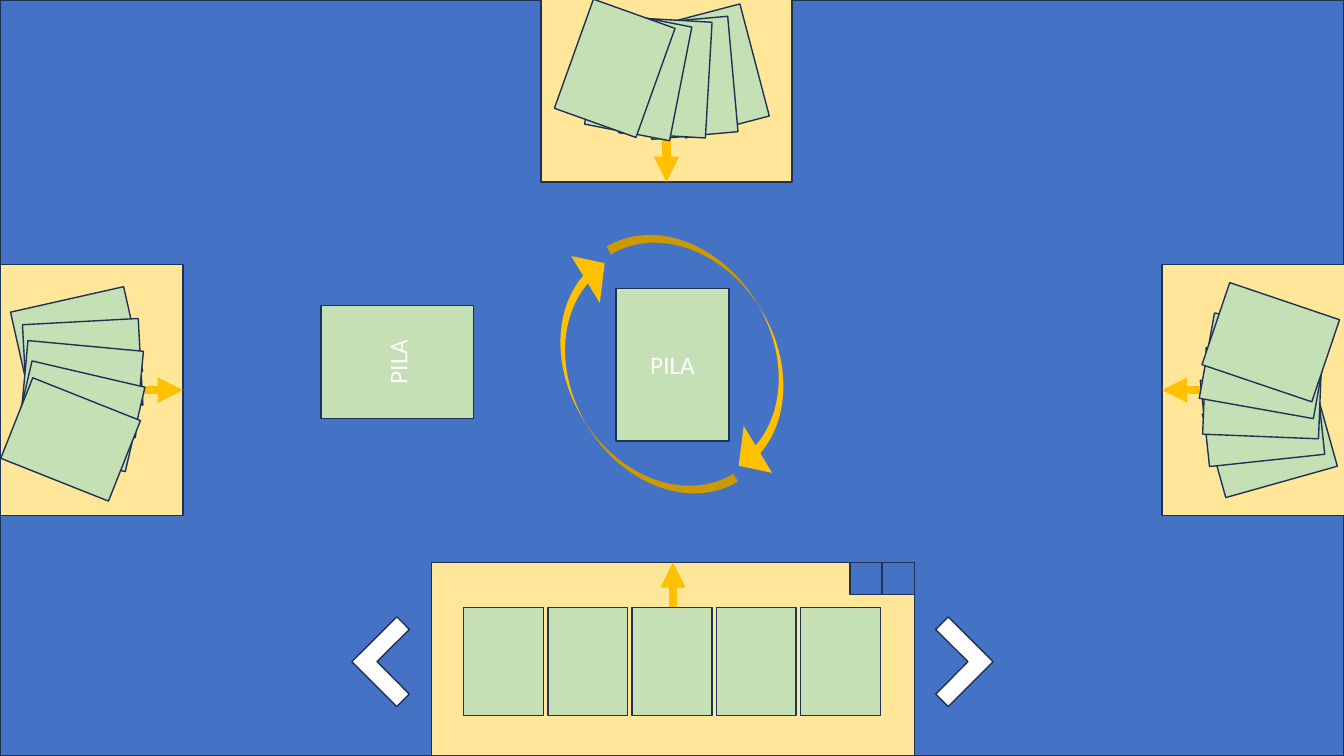
from dataclasses import dataclass
from math import cos, radians, sin

from lxml.etree import SubElement
from pptx import Presentation
from pptx.dml.color import RGBColor
from pptx.enum.shapes import MSO_CONNECTOR as Connector, MSO_SHAPE as Shape
from pptx.enum.text import MSO_ANCHOR as Anchor, PP_ALIGN as Align
from pptx.oxml.ns import qn
from pptx.util import Inches, Pt


@dataclass(frozen=True)
class Theme:
    table: str = "4472C4"
    seat: str = "FFE699"
    card: str = "C5E0B4"
    outline: str = "1E3256"
    arrow: str = "FFC000"
    white: str = "FFFFFF"
    font: str = "Calibri"
    label_size: float = 18
    outline_width: float = 1
    arrow_width: float = 6


THEME = Theme()
WIDTH, HEIGHT = 13.33, 7.5

# Content: draw piles as (label, centre, turn)
PILES = [("PILA", (6.67, 3.62), 0), ("PILA", (3.94, 3.59), 270)]
PILE_SIZE = (1.12, 1.51)

# Opponents: the left fan is turned about its middle card for the others
SEAT_SIZE = (2.49, 1.81)
FAN_CARD = (0.86, 1.15)
FAN = [(-0.05, -0.47, 77.3), (0.01, -0.24, 86.9), (0, 0, 95.3),
       (-0.03, 0.27, 103.1), (-0.11, 0.5, 111.7)]
OPPONENTS = [
    dict(seat=(0.91, 3.87), seat_turn=270, fan=(0.81, 3.86), fan_turn=0, inward=(1, 0)),
    dict(seat=(6.61, 0.9), seat_turn=0, fan=(6.6, 0.77), fan_turn=88, inward=(0, 1)),
    dict(seat=(12.43, 3.87), seat_turn=90, fan=(12.52, 3.9), fan_turn=177, inward=(-1, 0)),
]
ARROW_LENGTH = 0.62

# Player: seat, hand of cards, two counters and two browsing chevrons
PLAYER_SEAT = (4.28, 5.58, 4.79, 1.92)
HAND_COUNT, HAND_LEFT, HAND_TOP, HAND_PITCH = 5, 4.6, 6.03, 0.835
HAND_CARD = (0.79, 1.07)
COUNTER_COUNT, COUNTER_SIDE = 2, 0.32
CHEVRON_SIDE = 0.63
CHEVRONS = [(3.62, 45.1, False), (9.09, 314.9, True)]

# Turn-order arrows as (left, top, turn)
CYCLE = [(6.67, 1.99, 328.9), (5.67, 2.43, 148.6)]
CYCLE_SIZE = (0.99, 2.81)


def add_text(shape, text, size=THEME.label_size, color=THEME.white, align=Align.CENTER):
    frame = shape.text_frame
    frame.word_wrap = True
    frame.vertical_anchor = Anchor.MIDDLE
    paragraph = frame.paragraphs[0]
    paragraph.alignment = align
    run = paragraph.add_run()
    run.text = text
    run.font.name = THEME.font
    run.font.size = Pt(size)
    run.font.color.rgb = RGBColor.from_string(color)


def add_box(slide, box, fill, kind=Shape.RECTANGLE, turn=0, outlined=True,
            adjustments=(), mirrored=False):
    shape = slide.shapes.add_shape(kind, *map(Inches, box))
    shape.shadow.inherit = False
    shape.rotation = turn
    shape.fill.solid()
    shape.fill.fore_color.rgb = RGBColor.from_string(fill)
    if outlined:
        shape.line.color.rgb = RGBColor.from_string(THEME.outline)
        shape.line.width = Pt(THEME.outline_width)
    else:
        shape.line.fill.background()
    for index, value in enumerate(adjustments):
        shape.adjustments[index] = value
    if mirrored:
        shape._element.spPr.find(qn("a:xfrm")).set("flipH", "1")
    return shape


def add_arrow(slide, start, end):
    arrow = slide.shapes.add_connector(Connector.STRAIGHT, *map(Inches, (*start, *end)))
    arrow.line.color.rgb = RGBColor.from_string(THEME.arrow)
    arrow.line.width = Pt(THEME.arrow_width)
    properties = arrow._element.spPr
    SubElement(properties.find(qn("a:ln")), qn("a:tailEnd"), type="triangle")
    SubElement(properties, qn("a:effectLst"))


def centred(centre, size):
    return (centre[0] - size[0] / 2, centre[1] - size[1] / 2, *size)


def add_opponent(slide, seat, seat_turn, fan, fan_turn, inward):
    add_box(slide, centred(seat, SEAT_SIZE), THEME.seat, turn=seat_turn)
    # The arrow ends on the inner edge of the seat
    reach = SEAT_SIZE[1] / 2
    start, end = [tuple(middle + step * distance for middle, step in zip(seat, inward))
                  for distance in (reach - ARROW_LENGTH, reach)]
    add_arrow(slide, start, end)
    cosine, sine = cos(radians(fan_turn)), sin(radians(fan_turn))
    for across, down, turn in FAN:
        centre = (fan[0] + across * cosine - down * sine,
                  fan[1] + across * sine + down * cosine)
        add_box(slide, centred(centre, FAN_CARD), THEME.card, turn=turn + fan_turn)


def add_player(slide):
    left, top, width, _ = PLAYER_SEAT
    add_box(slide, PLAYER_SEAT, THEME.seat)
    middle = left + width / 2
    add_arrow(slide, (middle, top + 0.65), (middle, top))
    for index in range(HAND_COUNT):
        add_box(slide, (HAND_LEFT + index * HAND_PITCH, HAND_TOP, *HAND_CARD), THEME.card)
    for index in range(COUNTER_COUNT):
        counter_left = left + width - (COUNTER_COUNT - index) * COUNTER_SIDE
        add_box(slide, (counter_left, top, COUNTER_SIDE, COUNTER_SIDE), THEME.table)
    for chevron_left, turn, mirrored in CHEVRONS:
        add_box(slide, (chevron_left, 6.25, CHEVRON_SIDE, CHEVRON_SIDE), THEME.white,
                kind=Shape.CORNER, turn=turn, adjustments=(0.28, 0.28), mirrored=mirrored)


def main():
    presentation = Presentation()
    presentation.slide_width, presentation.slide_height = Inches(WIDTH), Inches(HEIGHT)
    slide = presentation.slides.add_slide(presentation.slide_layouts[6])

    # Table and seats
    add_box(slide, (0, 0, WIDTH, HEIGHT), THEME.table)
    for opponent in OPPONENTS:
        add_opponent(slide, **opponent)
    add_player(slide)

    # Piles and turn order
    for label, centre, turn in PILES:
        pile = add_box(slide, centred(centre, PILE_SIZE), THEME.card, turn=turn)
        add_text(pile, label)
    for left, top, turn in CYCLE:
        add_box(slide, (left, top, *CYCLE_SIZE), THEME.arrow, kind=Shape.CURVED_LEFT_ARROW,
                turn=turn, outlined=False, adjustments=(0.09, 0.55, 0.25))

    presentation.save("out.pptx")


if __name__ == "__main__":
    main()
